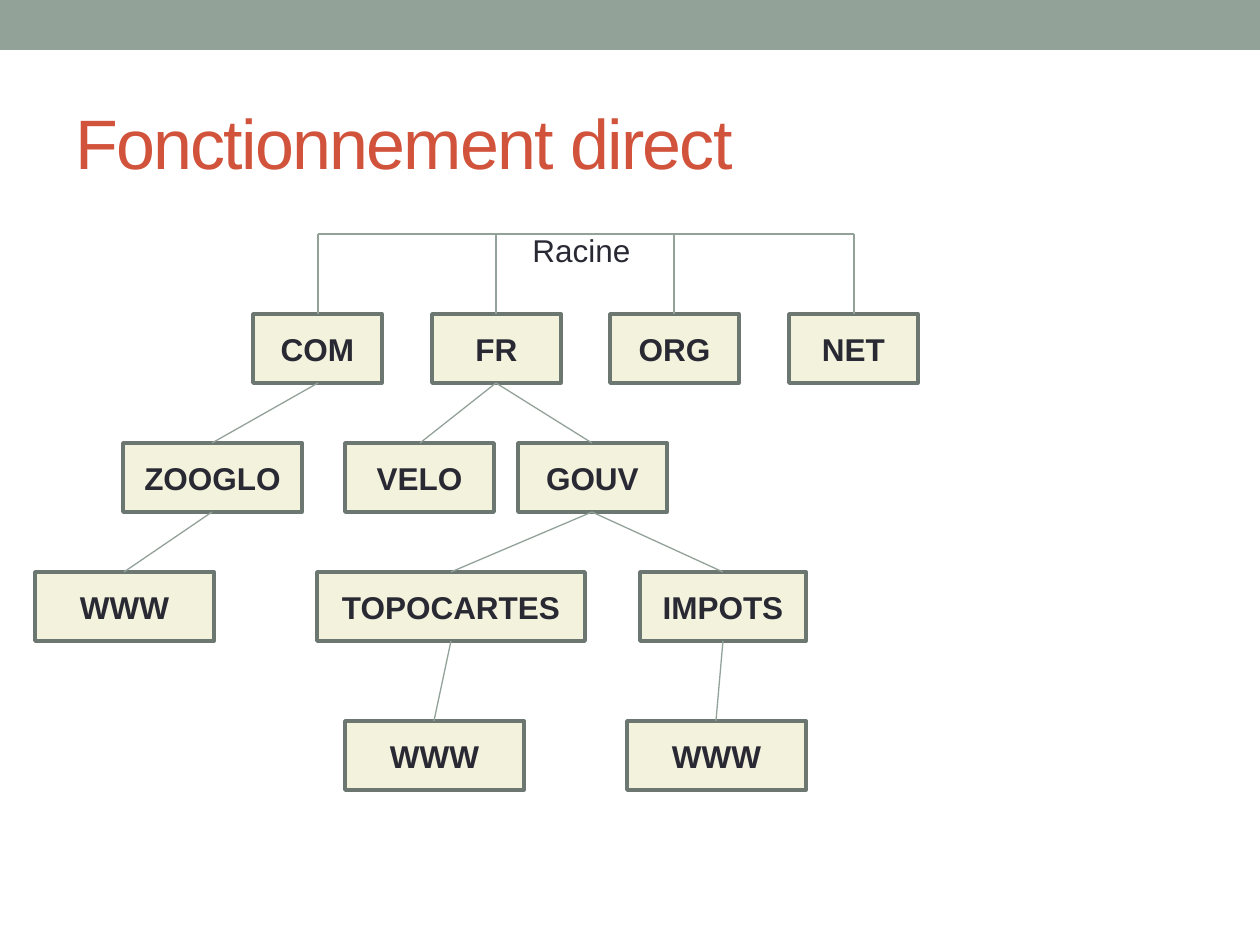
from lxml import etree
from pptx import Presentation
from pptx.dml.color import RGBColor
from pptx.enum.shapes import MSO_CONNECTOR, MSO_SHAPE
from pptx.enum.text import MSO_ANCHOR, MSO_AUTO_SIZE, PP_ALIGN
from pptx.oxml.ns import qn
from pptx.util import Emu, Pt

RECT = MSO_SHAPE.RECTANGLE
STRAIGHT = MSO_CONNECTOR.STRAIGHT
MIDDLE, TOP = MSO_ANCHOR.MIDDLE, MSO_ANCHOR.TOP
LEFT, CENTER = PP_ALIGN.LEFT, PP_ALIGN.CENTER
FIT_SHAPE = MSO_AUTO_SIZE.SHAPE_TO_FIT_TEXT

PX_PER_INCH = 126
FONT = "Arial"
COLORS = {
    "band": "93A299",
    "title": "D2533C",
    "text": "292934",
    "box": "F3F2DC",
    "border": "6C7771",
    "link": "93A299",
}

BOX_H = 69
ROOT_Y = 234
ROWS = [314, 443, 572, 721]
TOP_LEVEL = ["COM", "FR", "ORG", "NET"]
TOP_X, TOP_W, TOP_PITCH = 253, 129, 178.6

# key, label, left, row, width, parent key
DOMAINS = [
    ("search", "ZOOGLO", 123, 1, 179, "COM"),
    ("search_www", "WWW", 35, 2, 179, "search"),
    ("provider", "VELO", 345, 1, 149, "FR"),
    ("gouv", "GOUV", 518, 1, 149, "FR"),
    ("taxes", "IMPOTS", 640, 2, 166, "gouv"),
    ("maps", "TOPOCARTES", 317, 2, 268, "gouv"),
    ("maps_www", "WWW", 345, 3, 179, "maps"),
    ("taxes_www", "WWW", 627, 3, 179, "taxes"),
]


def px(n):
    return Emu(round(n * 914400 / PX_PER_INCH))


def rgb(name):
    return RGBColor.from_string(COLORS[name])


def set_text(sp, text, size=18, color="text", bold=False, align=LEFT,
             anchor=MIDDLE, spacing=None, wrap=True):
    tf = sp.text_frame
    tf.word_wrap = wrap
    tf.vertical_anchor = anchor
    p = tf.paragraphs[0]
    p.alignment = align
    r = p.add_run()
    r.text = text
    r.font.name = FONT
    r.font.size = Pt(size)
    r.font.bold = bold
    r.font.color.rgb = rgb(color)
    if spacing is not None:
        r.font._element.set("spc", str(spacing * 100))


def add_rect(s, x, y, w, h, fill, border=None):
    sp = s.shapes.add_shape(RECT, px(x), px(y), px(w), px(h))
    sp.shadow.inherit = False
    sp.fill.solid()
    sp.fill.fore_color.rgb = rgb(fill)
    if border:
        sp.line.color.rgb = rgb(border)
        sp.line.width = Pt(2.07)
    else:
        sp.line.fill.background()
    return sp


def add_box(s, label, x, row, w):
    """Draw a domain box and return its horizontal centre and row."""
    sp = add_rect(s, x, ROWS[row], w, BOX_H, "box", "border")
    set_text(sp, label, bold=True, align=CENTER)
    return round(x + w / 2), row


def add_line(s, x1, y1, x2, y2):
    line = s.shapes.add_connector(STRAIGHT, px(x1), px(y1), px(x2), px(y2))
    line.line.color.rgb = rgb("link")
    line.line.width = Pt(0.75)
    etree.SubElement(line._element.spPr, qn("a:effectLst"))


def add_label(s, text, x, y, w, h, **fmt):
    sp = s.shapes.add_textbox(px(x), px(y), px(w), px(h))
    set_text(sp, text, **fmt)
    return sp


def add_tree(s):
    # Boxes
    nodes = {}
    for i, name in enumerate(TOP_LEVEL):
        nodes[name] = add_box(s, name, round(TOP_X + i * TOP_PITCH), 0, TOP_W)
    for key, label, x, row, w, _ in DOMAINS:
        nodes[key] = add_box(s, label, x, row, w)

    # Root bar and its drops
    centers = [nodes[name][0] for name in TOP_LEVEL]
    add_line(s, centers[-1], ROOT_Y, centers[0], ROOT_Y)
    for x in centers:
        add_line(s, x, ROOT_Y, x, ROWS[0])

    # Links from each child up to its parent
    for key, _, _, _, _, parent in DOMAINS:
        x, row = nodes[key]
        parent_x, parent_row = nodes[parent]
        add_line(s, x, ROWS[row], parent_x, ROWS[parent_row] + BOX_H)

    # Root label
    root = add_label(s, "Racine", 520, 225, 128, 50, anchor=TOP)
    root.text_frame.auto_size = FIT_SHAPE


def main():
    prs = Presentation()
    prs.slide_width, prs.slide_height = px(1260), px(945)
    s = prs.slides.add_slide(prs.slide_layouts[6])

    # Top band and title
    add_rect(s, 0, 0, 1260, 50, "band")
    add_label(s, "Fonctionnement direct", 63, 73, 1134, 136,
              size=40, color="title", spacing=-1)

    add_tree(s)
    prs.save("out.pptx")


if __name__ == "__main__":
    main()
